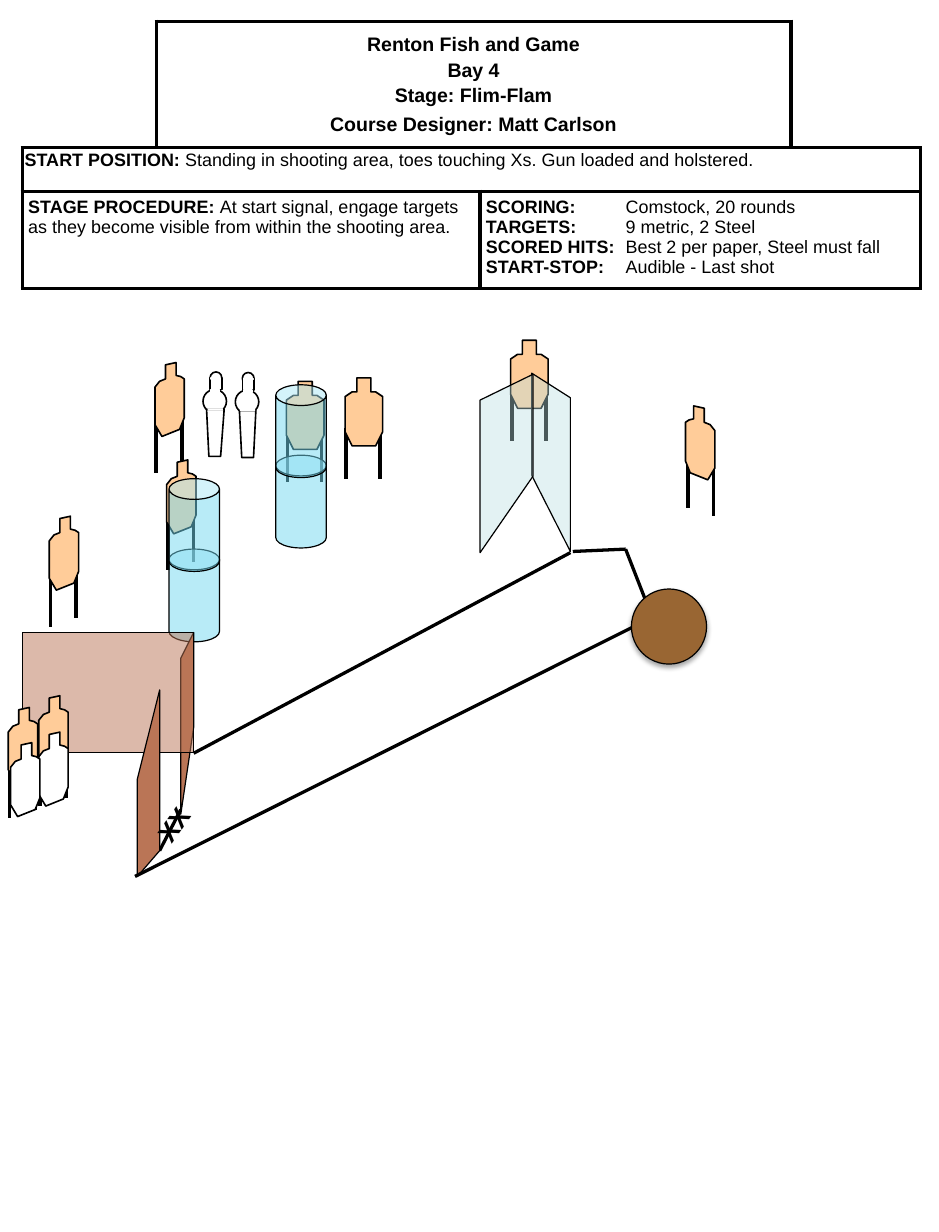
from dataclasses import dataclass

from lxml import etree
from pptx import Presentation
from pptx import util as u
from pptx.dml import color
from pptx.enum import shapes, text
from pptx.oxml import ns

COLS, ROWS = 800, 1050  # fine grid over the whole slide
SHAPE = shapes.MSO_SHAPE
CENTER = text.PP_ALIGN.CENTER


@dataclass(frozen=True)
class Theme:
    font: str = "Arial"
    black: str = "000000"
    white: str = "FFFFFF"
    paper: str = "FFCC99"
    can: str = "73D9F1"
    wall: str = "BA7556"
    glass: str = "BBE0E3"
    barrel: str = "996633"
    heading: int = 12
    body: int = 11
    mark: int = 16
    thin: float = 0.75
    edge: float = 1
    boundary: float = 2
    heavy: float = 2.25


def sub(parent, tag, **attrs):
    """Append a drawing element with the given attributes."""
    el = etree.SubElement(parent, ns.qn(tag))
    for key, value in attrs.items():
        el.set(key, str(value))
    return el


# Target outlines, relative to their top left corner
TILTED = [(9, 2), (18, 0), (18, 11), (22, 12), (25, 14), (25, 47), (21, 57),
          (6, 63), (0, 53), (0, 21), (4, 16), (9, 14)]
FRONT = [(10, 0), (22, 0), (22, 12), (26, 12), (32, 16), (32, 46), (26, 58),
         (6, 58), (0, 46), (0, 16), (6, 12), (10, 12)]
TILTED_LEGS = [(1, 51), (23, 44)]
FRONT_LEGS = [(1, 43), (30, 43)]
LEG = 43


class Stage:
    def __init__(self, prs, theme):
        self.t = theme
        self.s = prs.slides.add_slide(prs.slide_layouts[6])
        self.cw, self.rh = prs.slide_width / COLS, prs.slide_height / ROWS

    def x(self, cols):
        return u.Emu(round(cols * self.cw))

    def y(self, rows):
        return u.Emu(round(rows * self.rh))

    def box(self, left, top, width, height):
        return self.x(left), self.y(top), self.x(width), self.y(height)

    def group(self):
        return self.s.shapes.add_group_shape().shapes

    def paint(self, sp, fill, line, width, alpha=None):
        sp.shadow.inherit = False
        sp.fill.solid()
        sp.fill.fore_color.rgb = color.RGBColor.from_string(fill)
        if alpha:
            clr = sp._element.spPr.find(ns.qn("a:solidFill")).find(ns.qn("a:srgbClr"))
            sub(clr, "a:alpha", val=alpha * 1000)
        if line:
            sp.line.color.rgb = color.RGBColor.from_string(line)
            sp.line.width = u.Pt(width)
        else:
            sp.line.fill.background()
        return sp

    def shape(self, kind, at, fill, line=Theme.black, width=Theme.thin, alpha=None, on=None):
        sp = (on or self.s.shapes).add_shape(kind, *self.box(*at))
        return self.paint(sp, fill, line, width, alpha)

    def outline(self, pts, fill, width=Theme.thin, alpha=None, on=None):
        fb = (on or self.s.shapes).build_freeform(*pts[0], scale=(self.cw, self.rh))
        fb.add_line_segments(pts[1:], close=True)
        return self.paint(fb.convert_to_shape(), fill, self.t.black, width, alpha)

    def line(self, x1, y1, x2, y2, width=Theme.boundary, on=None):
        c = (on or self.s.shapes).add_connector(
            shapes.MSO_CONNECTOR.STRAIGHT, self.x(x1), self.y(y1), self.x(x2), self.y(y2))
        c.line.color.rgb = color.RGBColor.from_string(self.t.black)
        c.line.width = u.Pt(width)
        sub(c._element.spPr, "a:effectLst")

    def target(self, left, top, on=None, front=False, mirror=False, legs=True, fill=Theme.paper):
        def place(dx, dy):
            return left + (24 - dx if mirror else dx), top + dy

        if on is None:
            on = self.group()
        if legs:
            for leg in FRONT_LEGS if front else TILTED_LEGS:
                x, y = place(*leg)
                self.line(x, y, x, y + LEG, self.t.heavy, on)
        pts = [place(*p) for p in (FRONT if front else TILTED)]
        self.outline(pts, fill, self.t.edge, on=on)

    def cans(self, left, top):
        on = self.group()
        for dy in (60, 0):
            sp = on.add_shape(SHAPE.CAN, *self.box(left, top + dy, 43, 79))
            self.paint(sp, self.t.can, self.t.black, self.t.thin, 50)
            sp.adjustments[0] = 0.41

    def popper(self, left, top):
        t, on = self.t, self.group()

        def part(kind, dx, dy, w, h, line):
            sp = on.add_shape(kind, *self.box(left + dx, top + dy, w, h))
            self.paint(sp, t.white, line, t.edge)

        part(SHAPE.OVAL, 6, 0, 10, 10, t.black)
        part(SHAPE.OVAL, 0, 15, 20, 20, t.black)
        base = [(3, 32), (18, 32), (15, 72), (5, 72)]
        self.outline([(left + dx, top + dy) for dx, dy in base], t.white, t.edge, on=on)
        part(SHAPE.RECTANGLE, 6, 5, 10, 10, t.black)
        part(SHAPE.RECTANGLE, 4, 31, 13, 2, None)
        part(SHAPE.RECTANGLE, 7, 15, 7, 2, t.white)
        part(SHAPE.RECTANGLE, 7, 5, 8, 1, t.white)

    def font(self, p, size, bold=None):
        p.font.name, p.font.size, p.font.bold = self.t.font, u.Pt(size), bold
        p.font.color.rgb = color.RGBColor.from_string(self.t.black)

    def margins(self, cell, across, down):
        cell.margin_left = cell.margin_right = self.x(across)
        cell.margin_top = cell.margin_bottom = self.y(down)

    def cell(self, cell, sides):
        cell.fill.solid()
        cell.fill.fore_color.rgb = color.RGBColor.from_string(self.t.white)
        self.margins(cell, 2, 2)
        pr = cell._tc.tcPr
        for i, side in enumerate("LRTB"):
            ln = sub(pr, "a:ln" + side, w=u.Pt(self.t.heavy))
            if side in sides:
                sub(sub(ln, "a:solidFill"), "a:srgbClr", val=self.t.black)
            else:
                sub(ln, "a:noFill")
            pr.insert(i, ln)

    def fill_cell(self, cell, lines, size, margins=(5, 5), tab=None):
        """Each line is a pair: a bold lead and the plain words after it."""
        self.margins(cell, *margins)
        tf = cell.text_frame
        for i, (lead, rest) in enumerate(lines):
            p = tf.add_paragraph() if i else tf.paragraphs[0]
            if tab:
                tabs = sub(p._p.get_or_add_pPr(), "a:tabLst")
                sub(tabs, "a:tab", pos=self.x(tab), algn="l")
            self.font(p, size)
            for words, bold in ((lead, True), (rest, False)):
                if words:
                    r = p.add_run()
                    r.text, r.font.bold = words, bold
        return tf.paragraphs

    def table(self, at, widths, heights):
        tb = self.s.shapes.add_table(len(heights), len(widths), *self.box(*at)).table
        tb.first_row = tb.horz_banding = False
        for c, w in zip(tb.columns, widths):
            c.width = self.x(w)
        for row, h in zip(tb.rows, heights):
            row.height = self.y(h)
        corners = {(0, 0): "RB", (0, 3): "LB"}
        for i in range(len(heights)):
            for j in range(len(widths)):
                self.cell(tb.cell(i, j), corners.get((i, j), "LRTB"))
        return tb

    def label(self, at, words, rotation):
        sp = self.s.shapes.add_textbox(*self.box(*at))
        sp.rotation = rotation
        sp.text_frame.word_wrap = True
        p = sp.text_frame.paragraphs[0]
        p.text = words
        self.font(p, self.t.mark, True)

    def barrel(self, at):
        sp = self.shape(SHAPE.OVAL, at, self.t.barrel)
        fx = sp._element.spPr.find(ns.qn("a:effectLst"))
        shadow = sub(fx, "a:outerShdw", blurRad=u.Pt(3.1), dist=u.Pt(1.8),
                     dir=90 * 60000, rotWithShape=0)
        sub(sub(shadow, "a:srgbClr", val=self.t.black), "a:alpha", val=35000)


def main():
    prs = Presentation()
    prs.slide_width, prs.slide_height = u.Inches(8), u.Inches(10.5)
    t = Theme()
    st = Stage(prs, t)

    # Far targets
    st.target(132, 309)
    st.target(435, 290, front=True)

    # Stage description
    tb = st.table((19, 18, 765, 229), (114, 276, 265, 110), (108, 37, 83))
    for (r1, c1), (r2, c2) in (((0, 1), (0, 2)), ((1, 0), (1, 3)),
                               ((2, 0), (2, 1)), ((2, 2), (2, 3))):
        tb.cell(r1, c1).merge(tb.cell(r2, c2))
    head = tb.cell(0, 1)
    head.vertical_anchor = text.MSO_ANCHOR.MIDDLE
    titles = ("Renton Fish and Game", "Bay 4", "Stage: Flim-Flam", "Course Designer: Matt Carlson")
    lines = st.fill_cell(head, [(words, "") for words in titles], t.heading)
    for p, gap in zip(lines, (0, 2.2, 2.2, 4)):
        p.alignment, p.space_before = CENTER, u.Pt(gap)
    start = st.fill_cell(tb.cell(1, 0), [("START POSITION:", " Standing in shooting area, toes "
                         "touching Xs. Gun loaded and holstered.")], t.body, (2, 4))
    start[0].line_spacing = 0.9
    st.fill_cell(tb.cell(2, 0), [("STAGE PROCEDURE: ", "At start signal, engage targets as they "
                 "become visible from within the shooting area.")], t.body)
    st.fill_cell(tb.cell(2, 2), [("SCORING:", "\tComstock, 20 rounds"),
                                 ("TARGETS:", "\t9 metric, 2 Steel"),
                                 ("SCORED HITS:", "\tBest 2 per paper, Steel must fall"),
                                 ("START-STOP:", "\tAudible - Last shot")], t.body, tab=119)

    # Left side: targets, cans and walls
    st.line(136, 725, 154, 690)
    st.target(42, 440)
    st.target(142, 392)
    st.cans(144, 408)
    st.outline([(165, 620), (154, 694), (154, 561), (165, 539)], t.wall)
    st.outline([(453, 405), (486, 470), (486, 339), (453, 318)], t.glass, alpha=40)
    st.outline([(165, 641), (19, 641), (19, 539), (165, 539)], t.wall, alpha=50)
    st.line(165, 642, 486, 471)
    st.outline([(117, 664), (136, 588), (136, 725), (117, 747)], t.wall)

    # Right side and shooting area edge
    st.target(585, 346, mirror=True)
    for ends in ((533, 468, 488, 470), (556, 527, 533, 468), (115, 747, 556, 526)):
        st.line(*ends)
    st.label((120, 678, 64, 37), "XX", 305.1)
    st.outline([(454, 406), (409, 471), (409, 341), (454, 319)], t.glass, alpha=40)

    # Middle: front targets, cans and steel
    st.target(244, 325, front=True)
    st.target(294, 322, front=True)
    st.cans(235, 328)
    st.popper(173, 317)
    st.popper(200.5, 317.5)

    # Near left: two targets behind two no-shoots
    near = st.group()
    st.target(7, 603, near)
    st.target(33, 593, near)
    for left, top in ((33, 624), (9, 633)):
        st.target(left, top, near, legs=False, fill=t.white)

    st.barrel((538, 502, 64, 64))
    prs.save("out.pptx")


if __name__ == "__main__":
    main()
